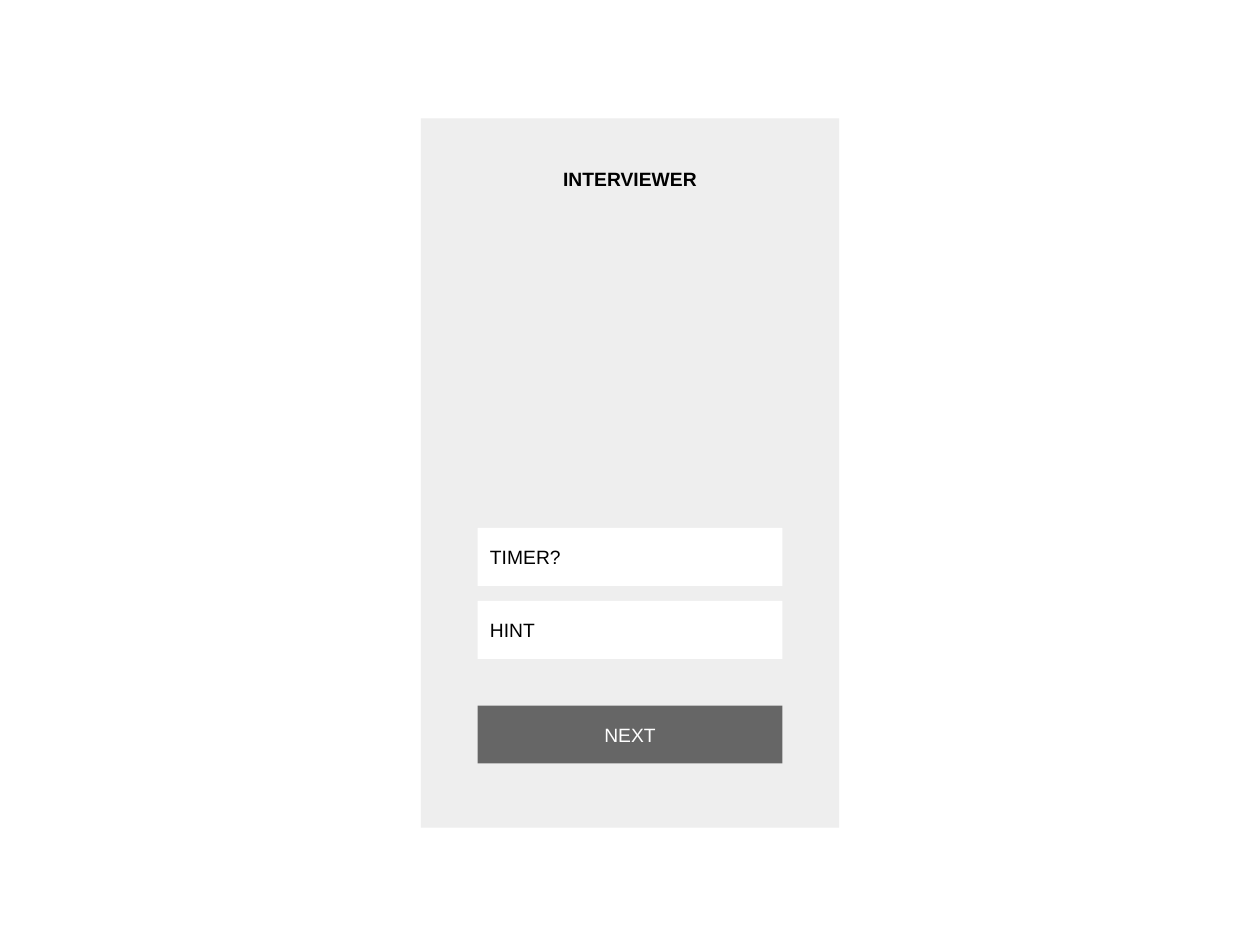
"""Build the interviewer screen wireframe slide."""
from dataclasses import dataclass
from typing import Optional

from pptx import Presentation
from pptx.dml.color import RGBColor
from pptx.enum.shapes import MSO_SHAPE
from pptx.enum.text import MSO_ANCHOR, PP_ALIGN
from pptx.util import Inches, Pt

RECT = MSO_SHAPE.RECTANGLE
MIDDLE = MSO_ANCHOR.MIDDLE
LEFT, CENTER = PP_ALIGN.LEFT, PP_ALIGN.CENTER
BLACK = RGBColor(0x00, 0x00, 0x00)
WHITE = RGBColor(0xFF, 0xFF, 0xFF)
PANEL_GRAY = RGBColor(0xEE, 0xEE, 0xEE)
BUTTON_GRAY = RGBColor(0x66, 0x66, 0x66)
ROW_LEFT, ROW_WIDTH, ROW_HEIGHT = 3.79, 2.42, 0.46


@dataclass
class Row:
    text: str
    top: float
    fill: Optional[RGBColor] = WHITE
    color: RGBColor = BLACK
    align: PP_ALIGN = LEFT
    bold: bool = False


ROWS = [
    Row("INTERVIEWER", 1.19, fill=None, align=CENTER, bold=True),
    Row("TIMER?", 4.19),
    Row("HINT", 4.77),
    Row("NEXT", 5.6, fill=BUTTON_GRAY, color=WHITE, align=CENTER),
]


def add_rect(s, left: float, top: float, width: float, height: float, fill: RGBColor):
    sp = s.shapes.add_shape(RECT, Inches(left), Inches(top), Inches(width), Inches(height))
    sp.shadow.inherit = False
    sp.fill.solid()
    sp.fill.fore_color.rgb = fill
    sp.line.fill.background()
    return sp


def set_text(sp, text: str, *, color: RGBColor, align: PP_ALIGN, bold: bool, size: float = 11) -> None:
    tf = sp.text_frame
    tf.word_wrap = True
    tf.vertical_anchor = MIDDLE
    tf.margin_left = tf.margin_right = tf.margin_top = tf.margin_bottom = Inches(0.1)
    p = tf.paragraphs[0]
    p.alignment = align
    r = p.add_run()
    r.text = text
    r.font.name = "Arial"
    r.font.size = Pt(size)
    r.font.bold = bold
    r.font.color.rgb = color


def add_row(s, row: Row) -> None:
    box = (ROW_LEFT, row.top, ROW_WIDTH, ROW_HEIGHT)
    if row.fill is None:
        sp = s.shapes.add_textbox(*map(Inches, box))
    else:
        sp = add_rect(s, *box, row.fill)
    set_text(sp, row.text, color=row.color, align=row.align, bold=row.bold)


def main() -> None:
    prs = Presentation()
    prs.slide_width, prs.slide_height = Inches(10), Inches(7.5)
    s = prs.slides.add_slide(prs.slide_layouts[6])
    add_rect(s, 3.34, 0.94, 3.32, 5.63, PANEL_GRAY)
    for row in ROWS:
        add_row(s, row)
    prs.save("out.pptx")


main()
